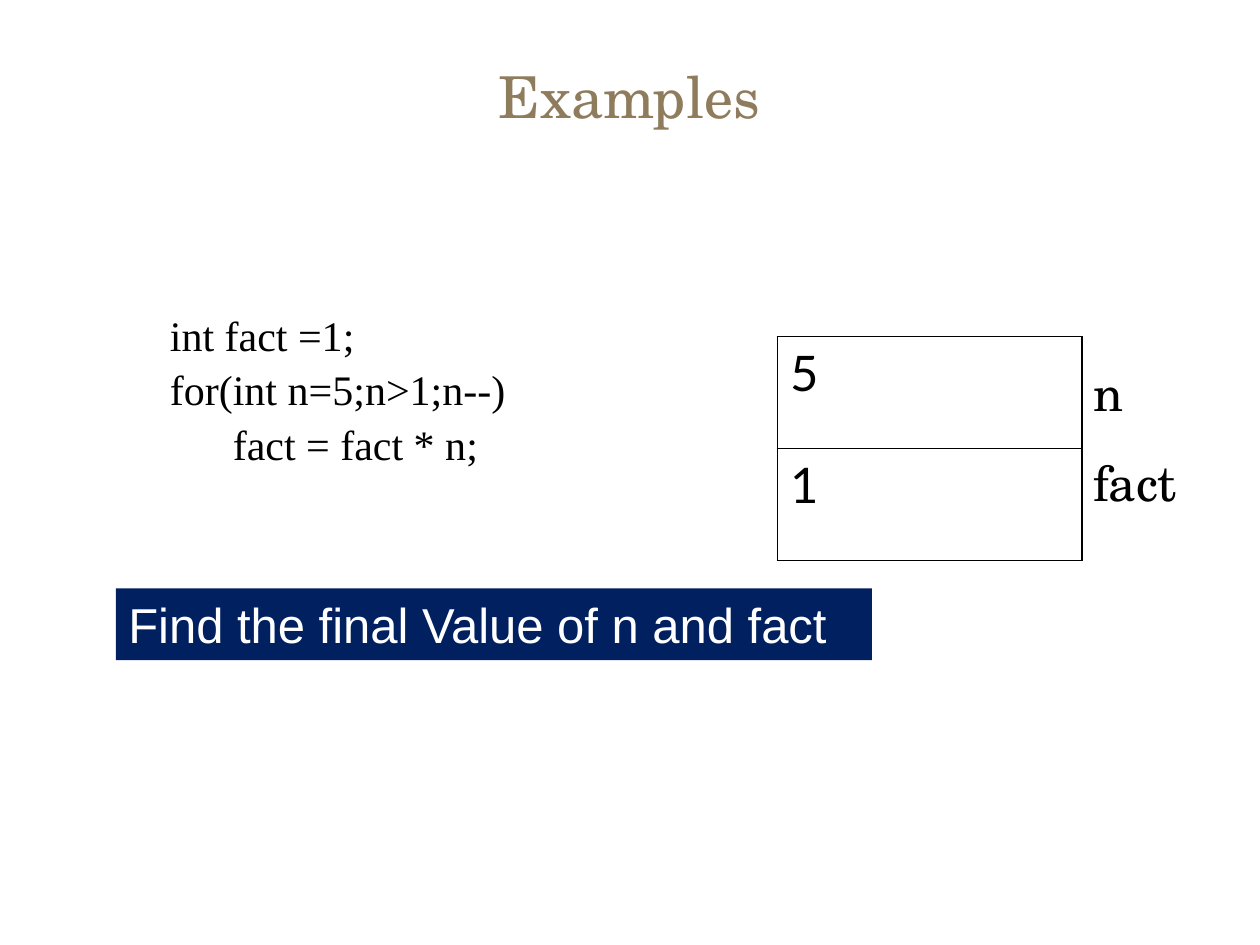
import pptx
import pptx.dml.color
import pptx.enum.shapes
import pptx.enum.text
import pptx.util
from lxml import etree
from pptx.oxml.ns import qn

Inches = pptx.util.Inches
Pt = pptx.util.Pt
RGBColor = pptx.dml.color.RGBColor
Anchor = pptx.enum.text.MSO_ANCHOR
Align = pptx.enum.text.PP_ALIGN

BLACK = RGBColor(0x00, 0x00, 0x00)
WHITE = RGBColor(0xFF, 0xFF, 0xFF)
TAN = RGBColor(0x8E, 0x7C, 0x5C)
NAVY = RGBColor(0x00, 0x20, 0x60)
SERIF = "TeX Gyre Schola"


class SlideBuilder:
    def __init__(self, slide):
        self.slide = slide

    def set_lines(self, frame, lines, font, size, color=BLACK, align=Align.LEFT,
                  gap=0, line_spacing=None):
        """Fill a text frame, one paragraph a line, with gap points between."""
        frame.word_wrap = True
        for i, line in enumerate(lines):
            paragraph = frame.paragraphs[0] if i == 0 else frame.add_paragraph()
            paragraph.text = line
            paragraph.alignment = align
            paragraph.line_spacing = line_spacing
            if i:
                paragraph.space_before = Pt(gap)
            paragraph.font.name = font
            paragraph.font.size = Pt(size)
            paragraph.font.color.rgb = color

    def text(self, box, lines, font, size, anchor=Anchor.TOP, top_inset=0.05, **style):
        frame = self.slide.shapes.add_textbox(*map(Inches, box)).text_frame
        frame.vertical_anchor = anchor
        frame.margin_top = Inches(top_inset)
        self.set_lines(frame, lines, font, size, **style)

    def banner(self, box, line, font, size):
        banner = self.slide.shapes.add_shape(
            pptx.enum.shapes.MSO_SHAPE.RECTANGLE, *map(Inches, box))
        banner.shadow.inherit = False
        banner.fill.solid()
        banner.fill.fore_color.rgb = NAVY
        banner.line.fill.background()
        banner.text_frame.vertical_anchor = Anchor.TOP
        self.set_lines(banner.text_frame, [line], font, size, color=WHITE)

    def memory_table(self, box, values, font, size):
        table = self.slide.shapes.add_table(len(values), 1, *map(Inches, box)).table
        table.first_row = table.horz_banding = False
        for row, value in enumerate(values):
            cell = table.cell(row, 0)
            self.set_lines(cell.text_frame, [value], font, size)
            bottom = 1.08 if row == len(values) - 1 else 0.45
            self.borders(cell, {"L": 1.08, "R": 1.08, "T": 0.45, "B": bottom})
            cell.fill.background()

    def borders(self, cell, widths):
        properties = cell._tc.get_or_add_tcPr()
        for side, width in widths.items():
            border = etree.SubElement(properties, qn(f"a:ln{side}"), w=str(int(Pt(width))))
            fill = etree.SubElement(border, qn("a:solidFill"))
            etree.SubElement(fill, qn("a:srgbClr"), val=str(BLACK))


def main():
    deck = pptx.Presentation()
    deck.slide_width, deck.slide_height = Inches(10), Inches(7.5)
    builder = SlideBuilder(deck.slides.add_slide(deck.slide_layouts[6]))

    builder.text((0.33, 0.25, 9.33, 0.83), ["Examples"], SERIF, 33,
                 anchor=Anchor.BOTTOM, color=TAN, align=Align.CENTER)
    code = ["int fact =1;", "for(int n=5;n>1;n--)", "\tfact = fact * n;"]
    builder.text((1.25, 1.92, 7.92, 3.46), code, "Times New Roman", 24,
                 top_inset=0.69, gap=15.5, line_spacing=0.55)
    builder.memory_table((6.17, 2.67, 2.42, 1.78), ["5", "1"], "Lato", 28)
    builder.text((8.58, 2.83, 1.17, 1.28), ["n", "fact"], SERIF, 28, gap=17.5)
    builder.banner((0.92, 4.67, 6, 0.57), "Find the final Value of n and fact",
                   "Arial", 28)
    deck.save("out.pptx")


if __name__ == "__main__":
    main()
